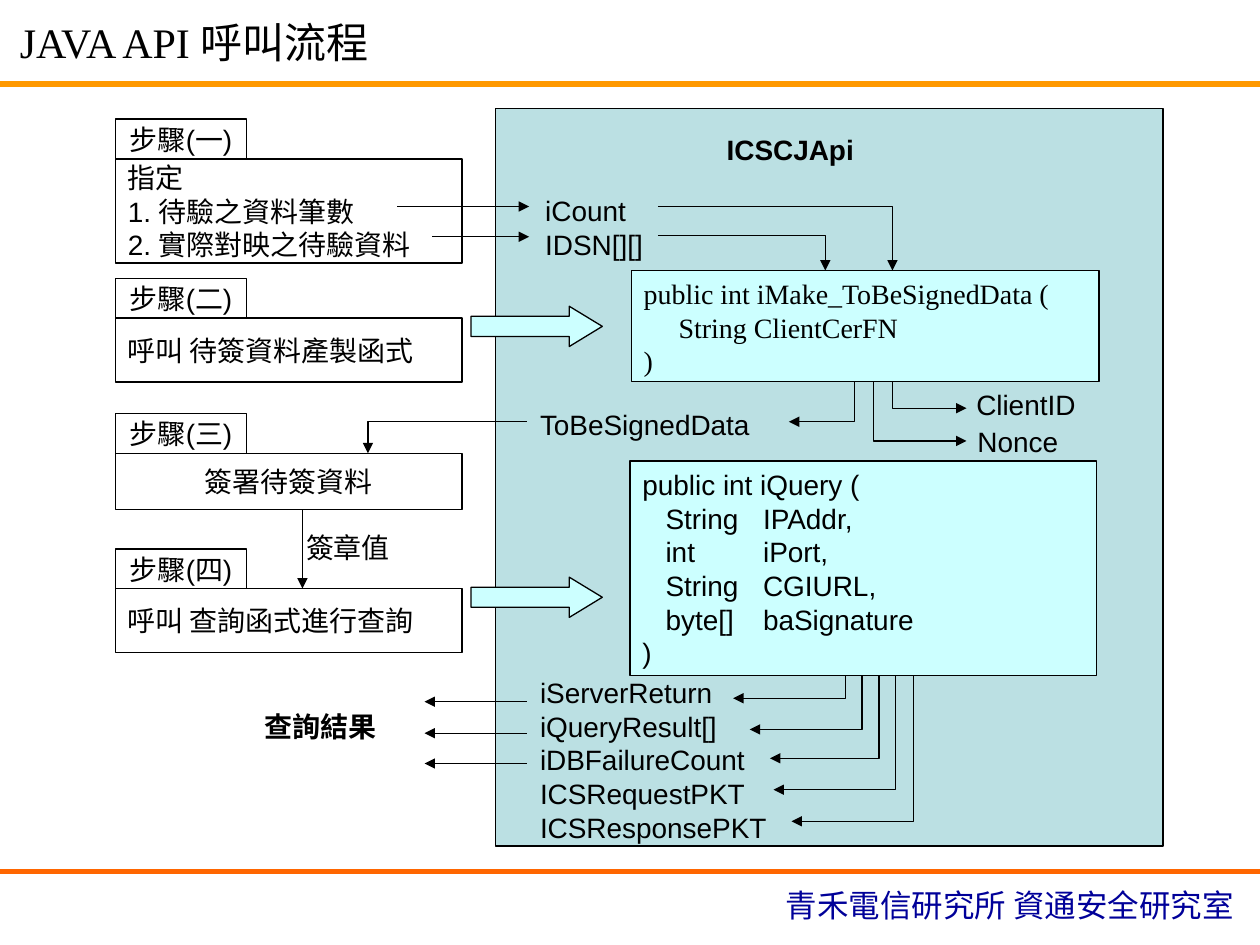
import pptx
import pptx.util
import pptx.dml.color
import pptx.enum.shapes
import pptx.enum.text
import pptx.oxml
from dataclasses import dataclass

Pt = pptx.util.Pt
RGB = pptx.dml.color.RGBColor.from_string
SHAPE = pptx.enum.shapes.MSO_SHAPE
ALIGN = pptx.enum.text.PP_ALIGN
ANCHOR = pptx.enum.text.MSO_ANCHOR
NS = 'xmlns:a="http://schemas.openxmlformats.org/drawingml/2006/main"'


@dataclass(frozen=True)
class Theme:
    ink: str = "000000"
    panel: str = "BBE0E3"
    code: str = "CCFFFF"
    top_rule: str = "FF9900"
    bottom_rule: str = "FF6600"
    footer: str = "000099"
    sans: str = "Arial"
    serif: str = "Times New Roman"
    title_size: float = 24
    footer_size: float = 18
    body_size: float = 16
    thin: float = 0.75
    thick: float = 3


theme = Theme()
deck = pptx.Presentation()
deck.slide_width, deck.slide_height = Pt(720), Pt(540)
slide = deck.slides.add_slide(deck.slide_layouts[6])
shapes = slide.shapes


def put(place, lines=(), kind=None, fill=None, font=theme.sans, size=theme.body_size,
        color=theme.ink, bold=False, align=ALIGN.LEFT, anchor=ANCHOR.TOP, wrap=False, tab=None):
    box = [Pt(value) for value in place]
    if kind is None:
        item = shapes.add_textbox(*box)
    else:
        item = shapes.add_shape(kind, *box)
        item.shadow.inherit = False
        item.line.color.rgb = RGB(theme.ink)
        item.line.width = Pt(theme.thin)
        if fill:
            item.fill.solid()
            item.fill.fore_color.rgb = RGB(fill)
        else:
            item.fill.background()
    frame = item.text_frame
    frame.word_wrap = wrap
    frame.vertical_anchor = anchor
    frame.margin_left = frame.margin_right = Pt(7.2)
    frame.margin_top = frame.margin_bottom = Pt(3.6)
    for index, line in enumerate(lines):
        paragraph = frame.paragraphs[0] if index == 0 else frame.add_paragraph()
        paragraph.alignment = align
        if tab:
            paragraph._p.get_or_add_pPr().append(pptx.oxml.parse_xml(
                f'<a:tabLst {NS}><a:tab pos="{Pt(tab)}" algn="l"/></a:tabLst>'))
        run = paragraph.add_run()
        run.text = line
        run.font.name = font
        run.font.size = Pt(size)
        run.font.bold = bold
        run.font.color.rgb = RGB(color)
    return item


def route(*points, color=theme.ink, width=theme.thin, arrow=True):
    points = [(Pt(x), Pt(y)) for x, y in points]
    if len(points) == 2:
        path = shapes.add_connector(pptx.enum.shapes.MSO_CONNECTOR.STRAIGHT, *points[0], *points[1])
    else:
        builder = shapes.build_freeform(*points[0], scale=1.0)
        builder.add_line_segments(points[1:], close=False)
        path = builder.convert_to_shape()
        path.fill.background()
    path.line.color.rgb = RGB(color)
    path.line.width = Pt(width)
    if arrow:
        path.line._get_or_add_ln().append(pptx.oxml.parse_xml(f'<a:tailEnd {NS} type="triangle"/>'))
    path._element.spPr.append(pptx.oxml.parse_xml(f'<a:effectLst {NS}/>'))


route((0, 498), (720, 498), color=theme.bottom_rule, width=theme.thick, arrow=False)
route((0, 48), (720, 48), color=theme.top_rule, width=theme.thick, arrow=False)
put((442, 502.5, 276, 29), ["青禾電信研究所 資通安全研究室"],
    font=theme.serif, size=theme.footer_size, color=theme.footer)
put((4.3, 5.8, 714, 36), ["JAVA API 呼叫流程"], font=theme.serif, size=theme.title_size, wrap=True)

put((283, 62, 381.6, 421.5), kind=SHAPE.RECTANGLE, fill=theme.panel)
put((408.2, 72, 92, 26.6), ["ICSCJApi"], bold=True, wrap=True)

for exit_x, tip_x, tip_y in [(483, 419, 399), (492.5, 428.4, 416.8), (502.3, 440, 433.3),
                             (511.7, 442, 451.3), (522, 452.3, 469.3)]:
    route((exit_x, 384), (exit_x, tip_y), (tip_x, tip_y))
for start_x, end_x, y in [(227, 302.4, 118), (247, 302.4, 135.3),
                          (301, 242.6, 401), (301, 242.6, 419), (301, 242.6, 436.3)]:
    route((start_x, y), (end_x, y))
for y, entry_x in [(118, 510), (134.5, 471.6)]:
    route((376, y), (entry_x, y), (entry_x, 154.6))
for exit_x, tip_x, tip_y in [(488.2, 450.8, 241), (499, 552.3, 252), (509.8, 552.3, 233.3)]:
    route((exit_x, 218.5), (exit_x, tip_y), (tip_x, tip_y))
route((301, 241), (210.3, 241), (210.3, 259))
route((172.8, 291), (172.8, 336.3))

steps = [
    ("步驟(一)", 68, 59.5, ["指定", "1. 待驗之資料筆數", "2. 實際對映之待驗資料"], ALIGN.LEFT),
    ("步驟(二)", 159, 36.5, ["呼叫 待簽資料產製函式"], ALIGN.LEFT),
    ("步驟(三)", 236.3, 32, ["簽署待簽資料"], ALIGN.CENTER),
    ("步驟(四)", 313.7, 36.5, ["呼叫 查詢函式進行查詢"], ALIGN.LEFT),
]
label_height = 22.8
for label, top, height, action, align in steps:
    put((66, top + label_height, 198, height), action, SHAPE.RECTANGLE,
        align=align, anchor=ANCHOR.MIDDLE, wrap=True)
    put((66, top, 75, label_height), [label], SHAPE.RECTANGLE,
        align=ALIGN.CENTER, anchor=ANCHOR.MIDDLE)

for top in (175, 329.8):
    call_arrow = put((269.2, top, 75, 23), kind=SHAPE.RIGHT_ARROW, fill=theme.code)
    call_arrow.adjustments[0] = 0.5
    call_arrow.adjustments[1] = 0.82

put((360.8, 154.6, 267.3, 63.4),
    ["public int iMake_ToBeSignedData (", "     String ClientCerFN", ")"],
    SHAPE.RECTANGLE, theme.code, font=theme.serif, wrap=True)
put((360, 263.5, 266.5, 122.6),
    ["public int iQuery (", "   String\tIPAddr,", "   int\tiPort,", "   String\tCGIURL,",
     "   byte[]\tbaSignature", ")"],
    SHAPE.RECTANGLE, theme.code, anchor=ANCHOR.MIDDLE, wrap=True, tab=69)

put((304.5, 107.3, 91, 46), ["iCount", "IDSN[][]"], wrap=True)
put((301.5, 382.3, 154, 103.7),
    ["iServerReturn", "iQueryResult[]", "iDBFailureCount", "ICSRequestPKT", "ICSResponsePKT"],
    anchor=ANCHOR.MIDDLE, wrap=True)
for text, left, top, width, bold in [("ToBeSignedData", 301.5, 229.3, 142, False),
                                     ("簽章值", 167.8, 299.5, 70, False),
                                     ("查詢結果", 144, 401.8, 86, True),
                                     ("ClientID", 550.8, 218, 77, False),
                                     ("Nonce", 551.5, 239.3, 66, False)]:
    put((left, top, width, 26.6), [text], bold=bold, wrap=True)

deck.save("out.pptx")
